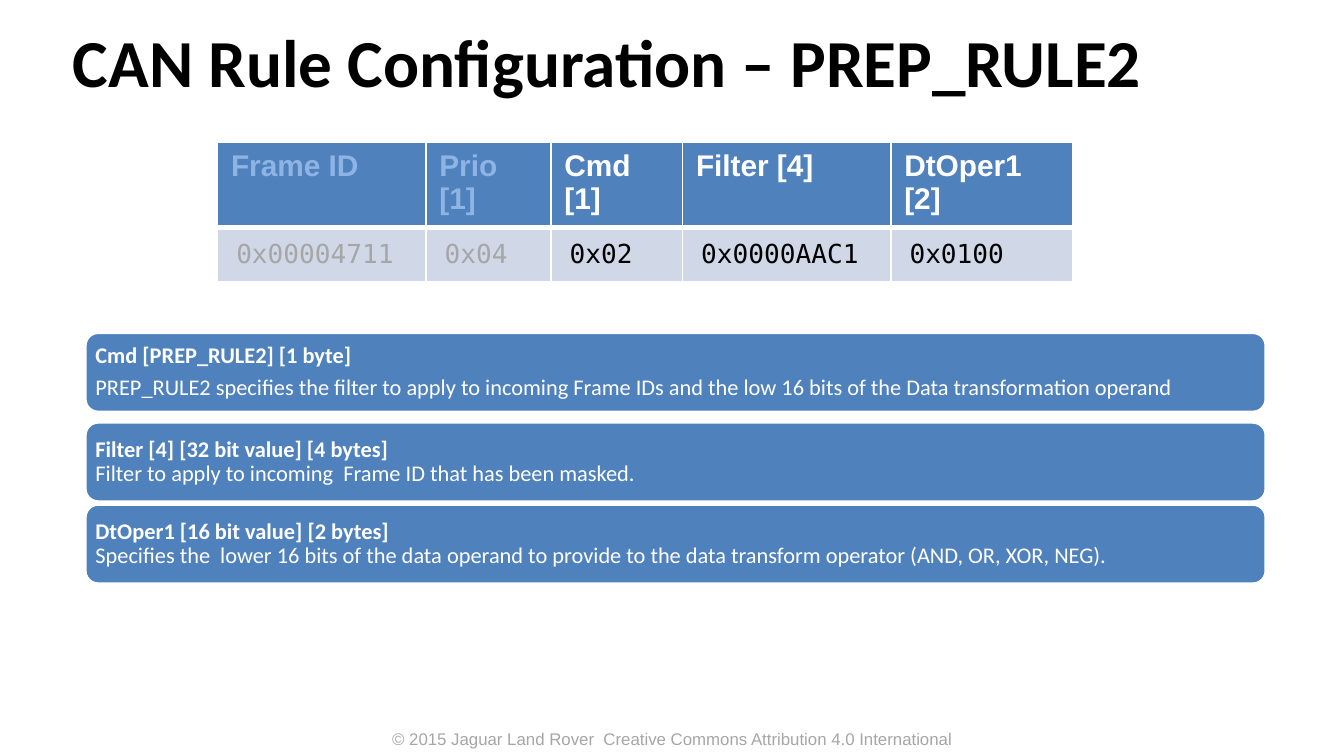
from lxml import etree
from pptx import Presentation
from pptx.dml.color import RGBColor
from pptx.enum.shapes import MSO_SHAPE
from pptx.enum.text import MSO_ANCHOR, MSO_AUTO_SIZE, PP_ALIGN
from pptx.oxml.ns import qn
from pptx.util import Pt

ROUND = MSO_SHAPE.ROUNDED_RECTANGLE
MIDDLE = MSO_ANCHOR.MIDDLE
LEFT, CENTER = PP_ALIGN.LEFT, PP_ALIGN.CENTER
FIXED = MSO_AUTO_SIZE.NONE
TITLE_ONLY = 5

COLORS = {
    "blue": "4F81BD", "pale": "D0D8E8", "faint": "8EB4E3",
    "gray": "A6A6A6", "white": "FFFFFF", "black": "000000",
}
FONTS = {
    "title": {"name": "Calibri", "size": Pt(36), "bold": True},
    "foot": {"name": "Arial", "size": Pt(9), "bold": False},
    "head": {"name": "Arial", "size": Pt(16), "bold": True},
    "code": {"name": "DejaVu Sans Mono", "size": Pt(14), "bold": False},
    "term": {"name": "Calibri", "size": Pt(12), "bold": True},
    "note": {"name": "Calibri", "size": Pt(12), "bold": False},
}
FIELDS = [
    ("Frame ID", "0x00004711", 111.6),
    ("Prio [1]", "0x04", 67),
    ("Cmd [1]", "0x02", 70.5),
    ("Filter [4]", "0x0000AAC1", 111.6),
    ("DtOper1 [2]", "0x0100", 97.2),
]
NOTES = [
    (178, True, "Cmd [PREP_RULE2] [1 byte]",
     "PREP_RULE2 specifies the filter to apply to incoming Frame IDs and "
     "the low 16 bits of the Data transformation operand"),
    (226, False, "Filter [4] [32 bit value] [4 bytes]",
     "Filter to apply to incoming  Frame ID that has been masked."),
    (270, False, "DtOper1 [16 bit value] [2 bytes]",
     "Specifies the  lower 16 bits of the data operand to provide to the "
     "data transform operator (AND, OR, XOR, NEG)."),
]


def tint(name):
    """Return a named colour."""
    return RGBColor.from_string(COLORS[name])


def apply(item, values):
    """Set each format value on an item."""
    for key, value in values.items():
        setattr(item, key, value)


def inset(item, side, top):
    """Set the margins of a text frame or cell."""
    apply(item, {"margin_left": Pt(side), "margin_right": Pt(side),
                 "margin_top": Pt(top), "margin_bottom": Pt(top)})


def write(para, text, font, color):
    """Add a formatted run to a paragraph."""
    run = para.add_run()
    run.text = text
    apply(run.font, FONTS[font])
    run.font.color.rgb = tint(color)


def border(cell, widths):
    """Draw white cell borders of the given widths."""
    props = cell._tc.get_or_add_tcPr()
    for side, width in zip("LRTB", widths):
        line = etree.SubElement(props, qn(f"a:ln{side}"), w=str(Pt(width)))
        fill = etree.SubElement(line, qn("a:solidFill"))
        etree.SubElement(fill, qn("a:srgbClr"), val=COLORS["white"])


def add_title(slide, box):
    """Place the slide title."""
    shape = slide.shapes.title
    apply(shape, dict(zip(("left", "top", "width", "height"), map(Pt, box))))
    frame = shape.text_frame
    apply(frame, {"vertical_anchor": MIDDLE, "word_wrap": True,
                  "auto_size": FIXED})
    inset(frame, 0, 0)
    para = frame.paragraphs[0]
    apply(para, {"alignment": LEFT, "line_spacing": 0.95})
    write(para, "CAN Rule Configuration – PREP_RULE2", "title", "black")


def add_fields(slide, box):
    """Place the table of rule fields."""
    table = slide.shapes.add_table(2, len(FIELDS), *map(Pt, box)).table
    for col, (name, value, width) in enumerate(FIELDS):
        table.columns[col].width = Pt(width)
        dim = col < 2
        head, body = table.cell(0, col), table.cell(1, col)
        border(head, (1, 1, 1, 3))
        border(body, (1, 1, 3, 1))
        body.vertical_anchor = MIDDLE
        inset(body, 10, 4.3)
        for cell, text, font, color, fill in (
            (head, name, "head", "faint" if dim else "white", "blue"),
            (body, value, "code", "gray" if dim else "black", "pale"),
        ):
            cell.fill.solid()
            cell.fill.fore_color.rgb = tint(fill)
            write(cell.text_frame.paragraphs[0], text, font, color)


def add_note(slide, box, split, term, note):
    """Place a rounded panel that explains one field."""
    shape = slide.shapes.add_shape(ROUND, *map(Pt, box))
    shape.shadow.inherit = False
    shape.fill.solid()
    shape.fill.fore_color.rgb = tint("blue")
    shape.line.color.rgb = tint("white")
    shape.line.width = Pt(2)
    frame = shape.text_frame
    apply(frame, {"vertical_anchor": MIDDLE, "word_wrap": True})
    inset(frame, 3.6, 3.6)
    para = frame.paragraphs[0]
    write(para, term, "term", "white")
    if split:
        para = frame.add_paragraph()
    else:
        para.add_line_break()
    write(para, note, "note", "white")
    for para in frame.paragraphs:
        apply(para, {"alignment": LEFT, "line_spacing": 0.9,
                     "space_after": Pt(4.2)})


def add_foot(slide, box):
    """Place the copyright line."""
    frame = slide.shapes.add_textbox(*map(Pt, box)).text_frame
    frame.word_wrap = True
    para = frame.paragraphs[0]
    para.alignment = CENTER
    write(para, "© 2015 Jaguar Land Rover  Creative Commons Attribution 4.0 "
          "International", "foot", "gray")


def main():
    """Build and save the slide."""
    deck = Presentation()
    apply(deck, {"slide_width": Pt(720), "slide_height": Pt(405)})
    slide = deck.slides.add_slide(deck.slide_layouts[TITLE_ONLY])
    add_foot(slide, (180, 386.6, 360, 18))
    add_title(slide, (39, 6, 629, 57))
    for top, split, term, note in NOTES:
        add_note(slide, (45.4, top, 633, 43), split, term, note)
    add_fields(slide, (116.6, 76.3, 458, 58.4))
    deck.save("out.pptx")


if __name__ == "__main__":
    main()
